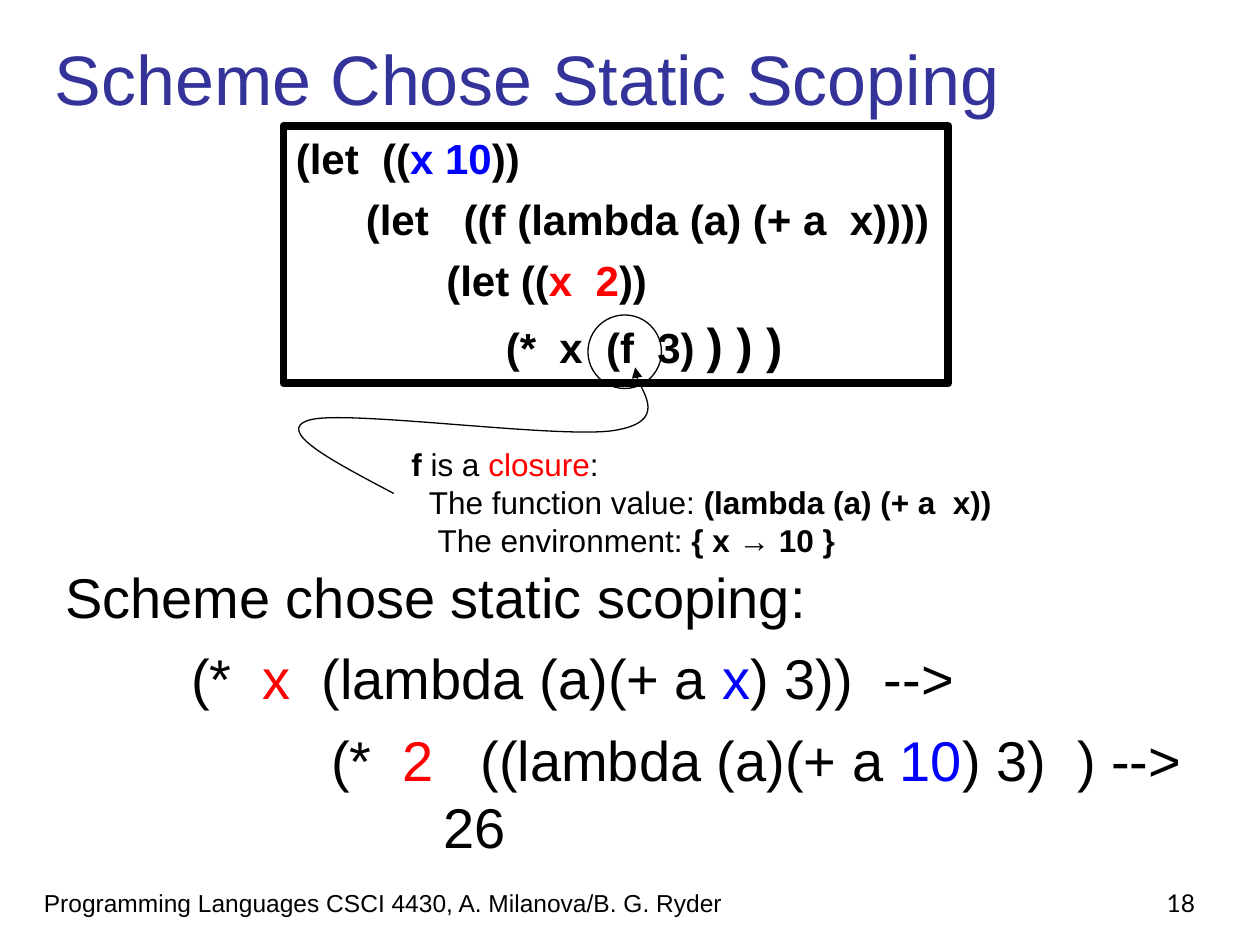
import pptx
import pptx.dml.color
import pptx.enum.shapes
import pptx.enum.text
import pptx.oxml
import pptx.oxml.ns
import pptx.util
from dataclasses import dataclass

Pt = pptx.util.Pt
ALIGN = pptx.enum.text.PP_ALIGN
ANCHOR = pptx.enum.text.MSO_ANCHOR
SHAPE = pptx.enum.shapes.MSO_SHAPE


@dataclass(frozen=True)
class Theme:
    ink: str = "000000"
    heading: str = "333399"
    inner: str = "FF0000"
    outer: str = "0000FF"
    font: str = "Arial"
    number_font: str = "Lato"
    title: int = 40
    body: int = 32
    brackets: int = 28
    code: int = 24
    note: int = 18
    footer: int = 14


THEME = Theme()


def rgb(value):
    return pptx.dml.color.RGBColor.from_string(value)


def run(text, color=THEME.ink, **style):
    return {"text": text, "color": color, **style}


def line(*runs, left=0, first=0):
    return {"runs": runs, "left": left, "first": first}


def place(shape, left, top, width, height):
    shape.left, shape.top = Pt(left), Pt(top)
    shape.width, shape.height = Pt(width), Pt(height)


def write(shape, lines, size, font=THEME.font, bold=False, gap=0,
          align=ALIGN.LEFT, anchor=ANCHOR.TOP):
    frame = shape.text_frame
    frame.word_wrap = True
    frame.auto_size = pptx.enum.text.MSO_AUTO_SIZE.NONE
    frame.vertical_anchor = anchor
    for index, content in enumerate(lines):
        paragraph = frame.add_paragraph() if index else frame.paragraphs[0]
        paragraph.alignment = align
        paragraph.space_before = Pt(gap)
        properties = paragraph._p.get_or_add_pPr()
        properties.set("marL", str(Pt(content["left"])))
        properties.set("indent", str(Pt(content["first"])))
        for part in content["runs"]:
            piece = paragraph.add_run()
            piece.text = part["text"]
            piece.font.name = part.get("font", font)
            piece.font.size = Pt(part.get("size", size))
            piece.font.bold = part.get("bold", bold)
            piece.font.color.rgb = rgb(part["color"])


def add_text(slide, box, lines, size, **style):
    text = slide.shapes.add_textbox(*map(Pt, box))
    write(text, lines, size, **style)


def outline(shape, weight):
    shape.shadow.inherit = False
    shape.fill.background()
    shape.line.color.rgb = rgb(THEME.ink)
    shape.line.width = Pt(weight)


def add_outline(slide, kind, box, weight):
    shape = slide.shapes.add_shape(kind, *map(Pt, box))
    outline(shape, weight)
    return shape


def add_curved_arrow(slide, points, weight):
    builder = slide.shapes.build_freeform(*points[0], scale=Pt(1))
    builder.add_line_segments(points[1:], close=False)
    arrow = builder.convert_to_shape()
    outline(arrow, weight)
    qn = pptx.oxml.ns.qn
    segments = list(arrow._element.iter(qn("a:lnTo")))
    for start in range(0, len(segments), 3):
        curve = pptx.oxml.parse_xml(
            "<a:cubicBezTo %s/>" % pptx.oxml.ns.nsdecls("a"))
        segments[start].addprevious(curve)
        for segment in segments[start:start + 3]:
            curve.append(segment[0])
            segment.getparent().remove(segment)
    stroke = arrow.line._get_or_add_ln()
    stroke.append(pptx.oxml.parse_xml(
        '<a:tailEnd %s type="triangle"/>' % pptx.oxml.ns.nsdecls("a")))


def add_code(slide):
    code = add_outline(slide, SHAPE.RECTANGLE, (162, 72, 380, 147), 4.5)
    write(code, [
        line(run("(let  (("), run("x 10", THEME.outer), run("))")),
        line(run("(let   ((f (lambda (a) (+ a  x))))"), left=40),
        line(run("(let (("), run("x  2", THEME.inner), run("))"), left=86),
        line(run("(*  x  (f  3) "), run(") ) )", size=THEME.brackets),
             left=120),
    ], THEME.code, bold=True, gap=6)


def add_closure(slide):
    add_outline(slide, SHAPE.OVAL, (336, 180, 42, 42), 0.75)
    add_text(slide, (228, 251, 349, 73), [
        line(run("f", bold=True), run(" is a "),
             run("closure", THEME.inner), run(":")),
        line(run("The function value: "),
             run("(lambda (a) (+ a  x))", bold=True), left=10),
        line(run("The environment: "),
             run("{ x → 10 }", bold=True), left=15),
    ], THEME.note)
    add_curved_arrow(slide, [
        (225, 282), (191, 264), (156, 246), (177, 240), (198, 234),
        (320, 251), (351, 246), (382, 241), (361, 216), (363, 210),
    ], 0.75)


def add_evaluation(body):
    place(body, 30, 318, 654, 192)
    write(body, [
        line(run("Scheme chose static scoping:")),
        line(run("(*  "), run("x", THEME.inner),
             run("  (lambda (a)(+ a "), run("x", THEME.outer),
             run(") 3))  -->"), left=72),
        line(run("(*  "), run("2", THEME.inner),
             run("   ((lambda (a)(+ a "), run("10", THEME.outer),
             run(") 3)  ) --> 26"), left=216, first=-64),
    ], THEME.body, gap=8)


def main():
    deck = pptx.Presentation()
    deck.slide_width, deck.slide_height = Pt(720), Pt(540)
    slide = deck.slides.add_slide(deck.slide_layouts[0])
    title, body = slide.placeholders
    place(title, 24, 12, 702, 60)
    write(title, [line(run("Scheme Chose Static Scoping", THEME.heading))],
          THEME.title, anchor=ANCHOR.BOTTOM)
    add_evaluation(body)
    add_code(slide)
    add_closure(slide)
    add_text(slide, (18, 492, 414, 36), [
        line(run("Programming Languages CSCI 4430, A. Milanova/B. G. Ryder")),
    ], THEME.footer, anchor=ANCHOR.BOTTOM)
    add_text(slide, (540, 492, 150, 36), [line(run("18"))], THEME.footer,
             font=THEME.number_font, align=ALIGN.RIGHT, anchor=ANCHOR.BOTTOM)
    deck.save("out.pptx")


main()
